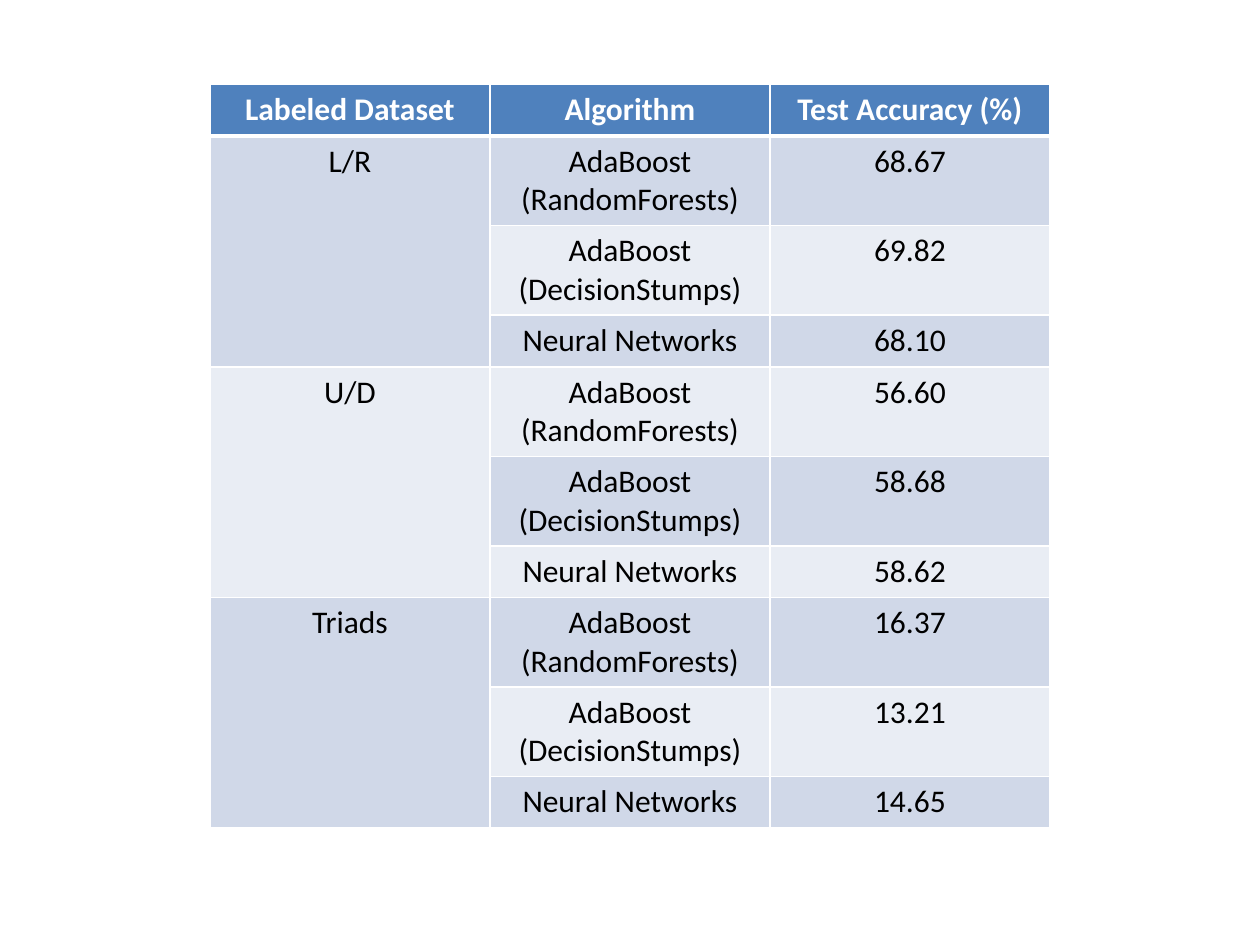
from dataclasses import dataclass

from lxml.etree import SubElement
from pptx import Presentation
from pptx.dml.color import RGBColor
from pptx.enum.text import PP_ALIGN
from pptx.oxml.ns import qn
from pptx.util import Inches, Pt

HEADER_FILL = "4F81BD"
BAND_FILLS = ("D0D8E8", "E9EDF4")
WHITE, BLACK = "FFFFFF", "000000"
THIN, THICK = 1, 3

HEADINGS = ("Labeled Dataset", "Algorithm", "Test Accuracy (%)")
ALGORITHMS = (
    "AdaBoost (RandomForests)",
    "AdaBoost (DecisionStumps)",
    "Neural Networks",
)


@dataclass(frozen=True)
class DatasetResult:
    label: str
    accuracies: tuple[float, ...]


RESULTS = (
    DatasetResult("L/R", (68.67, 69.82, 68.10)),
    DatasetResult("U/D", (56.60, 58.68, 58.62)),
    DatasetResult("Triads", (16.37, 13.21, 14.65)),
)


def rgb(value: str) -> RGBColor:
    return RGBColor.from_string(value)


def add_borders(cell, top: int, bottom: int) -> None:
    properties = cell._tc.get_or_add_tcPr()
    widths = {"a:lnL": THIN, "a:lnR": THIN, "a:lnT": top, "a:lnB": bottom}
    for side, width in widths.items():
        line = SubElement(properties, qn(side), w=str(Pt(width)))
        SubElement(SubElement(line, qn("a:solidFill")), qn("a:srgbClr"), val=WHITE)


def style_cell(cell, row: int) -> None:
    """Apply header style to row 0 and alternating bands to the rows below."""
    is_header = row == 0
    # Borders must precede the fill in the cell properties.
    add_borders(cell, THICK if row == 1 else THIN, THICK if is_header else THIN)
    cell.fill.solid()
    cell.fill.fore_color.rgb = rgb(HEADER_FILL if is_header else BAND_FILLS[(row - 1) % 2])
    paragraph = cell.text_frame.paragraphs[0]
    paragraph.alignment = PP_ALIGN.CENTER
    paragraph.font.name = "Calibri"
    paragraph.font.size = Pt(18)
    paragraph.font.bold = is_header
    paragraph.font.color.rgb = rgb(WHITE if is_header else BLACK)


def table_rows() -> list[tuple[str, ...]]:
    """List the heading row, then one row per dataset and algorithm."""
    rows = [HEADINGS]
    for result in RESULTS:
        for index, (algorithm, accuracy) in enumerate(zip(ALGORITHMS, result.accuracies)):
            rows.append((result.label if index == 0 else "", algorithm, f"{accuracy:.2f}"))
    return rows


def add_accuracy_table(slide, slide_width: int) -> None:
    rows = table_rows()
    width, height = slide_width * 2 // 3, Inches(5.82)
    frame = slide.shapes.add_table(
        len(rows), len(HEADINGS), (slide_width - width) // 2, Inches(0.67), width, height
    )
    table = frame.table
    for row, texts in enumerate(rows):
        table.rows[row].height = Inches(0.41)
        for column, text in enumerate(texts):
            cell = table.cell(row, column)
            cell.text = text
            style_cell(cell, row)
    group_size = len(ALGORITHMS)
    for first in range(1, len(rows), group_size):
        table.cell(first, 0).merge(table.cell(first + group_size - 1, 0))
    frame.height = height


def main() -> None:
    presentation = Presentation()
    presentation.slide_width = Inches(10)
    presentation.slide_height = Inches(7.5)
    slide = presentation.slides.add_slide(presentation.slide_layouts[6])
    add_accuracy_table(slide, presentation.slide_width)
    presentation.save("out.pptx")


if __name__ == "__main__":
    main()
